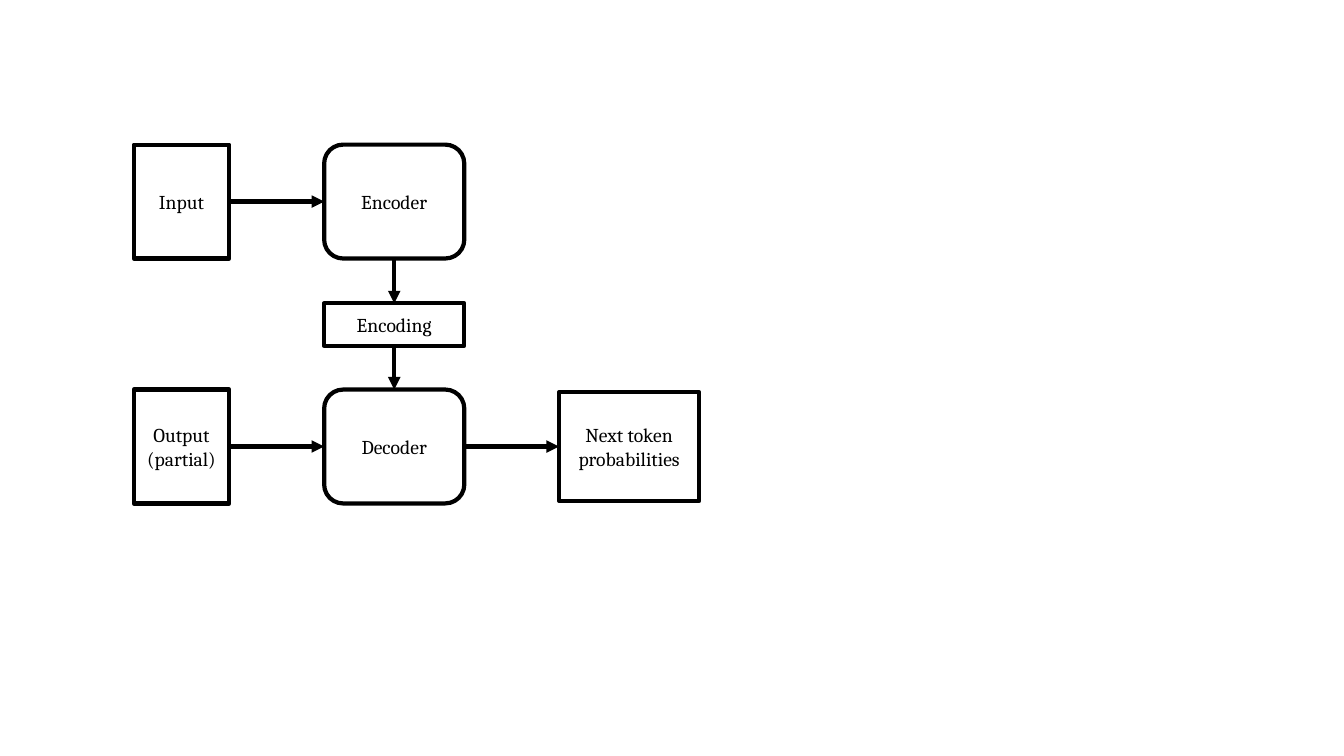
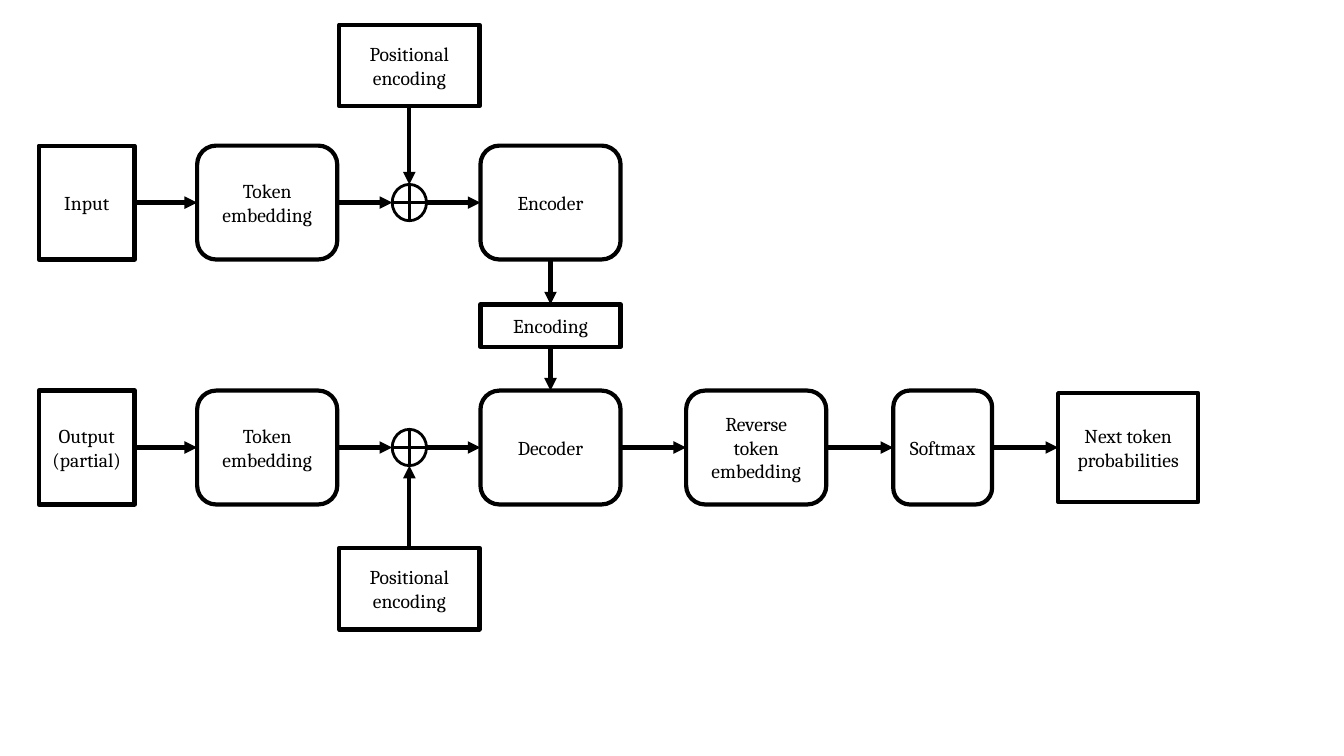
import pptx
import pptx.util
import pptx.dml.color
import pptx.enum.shapes
import pptx.enum.text
import pptx.oxml.ns
from lxml import etree

SHAPES = pptx.enum.shapes.MSO_SHAPE
INK, FONT, TEXT_SIZE = "000000", "Cambria", 14

# Kinds of box: preset shape, width, height, outline width
KINDS = {
    "sequence": (SHAPES.RECTANGLE, 0.95, 1.13, 3),
    "module": (SHAPES.ROUNDED_RECTANGLE, 1.39, 1.13, 3),
    "narrow module": (SHAPES.ROUNDED_RECTANGLE, 0.98, 1.13, 3),
    "encoding": (SHAPES.RECTANGLE, 1.39, 0.42, 3),
    "position": (SHAPES.RECTANGLE, 1.39, 0.81, 3),
    "result": (SHAPES.RECTANGLE, 1.39, 1.08, 3),
    "sum": (SHAPES.FLOWCHART_OR, 0.34, 0.36, 2),
}

# Each diagram: column and row centres, boxes (kind, column, row, text), chains of arrows
OVERVIEW = {
    "columns": (1.8, 3.91, 6.24),
    "rows": (2.0, 3.22, 4.43),
    "boxes": {
        "input": ("sequence", 0, 0, "Input"),
        "encoder": ("module", 1, 0, "Encoder"),
        "encoding": ("encoding", 1, 1, "Encoding"),
        "output": ("sequence", 0, 2, "Output\n(partial)"),
        "decoder": ("module", 1, 2, "Decoder"),
        "next": ("result", 2, 2, "Next token\nprobabilities"),
    },
    "chains": [
        ("input", "encoder", "encoding", "decoder"),
        ("output", "decoder", "next"),
    ],
}
DETAIL = {
    "columns": (0.86, 2.65, 4.06, 5.46, 7.5, 9.35, 11.19),
    "rows": (0.65, 2.01, 3.23, 4.44, 5.84),
    "boxes": {
        "input position": ("position", 2, 0, "Positional\nencoding"),
        "input": ("sequence", 0, 1, "Input"),
        "input embedding": ("module", 1, 1, "Token\nembedding"),
        "input sum": ("sum", 2, 1, ""),
        "encoder": ("module", 3, 1, "Encoder"),
        "encoding": ("encoding", 3, 2, "Encoding"),
        "output": ("sequence", 0, 3, "Output\n(partial)"),
        "output embedding": ("module", 1, 3, "Token\nembedding"),
        "output sum": ("sum", 2, 3, ""),
        "decoder": ("module", 3, 3, "Decoder"),
        "reverse": ("module", 4, 3, "Reverse\ntoken\nembedding"),
        "softmax": ("narrow module", 5, 3, "Softmax"),
        "next": ("result", 6, 3, "Next token\nprobabilities"),
        "output position": ("position", 2, 4, "Positional\nencoding"),
    },
    "chains": [
        ("input", "input embedding", "input sum", "encoder", "encoding", "decoder"),
        ("output", "output embedding", "output sum", "decoder", "reverse", "softmax", "next"),
        ("input position", "input sum"),
        ("output position", "output sum"),
    ],
}

TOP, LEFT, BOTTOM, RIGHT = range(4)  # connection sites of a box


def color(hex_text):
    return pptx.dml.color.RGBColor.from_string(hex_text)


def set_line(line, width):
    line.color.rgb = color(INK)
    line.width = pptx.util.Pt(width)


def add_box(slide, kind, center_x, center_y, text):
    preset, width, height, line_width = KINDS[kind]
    shape = slide.shapes.add_shape(preset, *map(pptx.util.Inches, (
        center_x - width / 2, center_y - height / 2, width, height)))
    shape.shadow.inherit = False
    shape.fill.background()
    set_line(shape.line, line_width)
    if text:
        frame = shape.text_frame
        frame.word_wrap = False
        frame.vertical_anchor = pptx.enum.text.MSO_ANCHOR.MIDDLE
        frame.margin_left = frame.margin_right = frame.margin_top = frame.margin_bottom = 0
        frame.text = text
        for paragraph in frame.paragraphs:
            paragraph.alignment = pptx.enum.text.PP_ALIGN.CENTER
            paragraph.font.name = FONT
            paragraph.font.size = pptx.util.Pt(TEXT_SIZE)
            paragraph.font.color.rgb = color(INK)
    return shape


def site_point(shape, site):
    across = {LEFT: 0, RIGHT: 1}.get(site, 0.5)
    down = {TOP: 0, BOTTOM: 1}.get(site, 0.5)
    return int(shape.left + across * shape.width), int(shape.top + down * shape.height)


def add_arrow(slide, start, end, same_row):
    if same_row:
        start_site, end_site = RIGHT, LEFT
    elif start.top < end.top:
        start_site, end_site = BOTTOM, TOP
    else:
        start_site, end_site = TOP, BOTTOM
    connector = slide.shapes.add_connector(
        pptx.enum.shapes.MSO_CONNECTOR.STRAIGHT,
        *site_point(start, start_site), *site_point(end, end_site))
    # Sum circles number their sites differently, so only boxes are glued
    if start.auto_shape_type != SHAPES.FLOWCHART_OR:
        connector.begin_connect(start, start_site)
    if end.auto_shape_type != SHAPES.FLOWCHART_OR:
        connector.end_connect(end, end_site)
    set_line(connector.line, 3)
    line_element = connector.line._get_or_add_ln()
    etree.SubElement(line_element, pptx.oxml.ns.qn("a:tailEnd"), type="triangle")
    etree.SubElement(connector._element.spPr, pptx.oxml.ns.qn("a:effectLst"))


def add_diagram(presentation, diagram):
    slide = presentation.slides.add_slide(presentation.slide_layouts[6])
    boxes = diagram["boxes"]
    shapes = {
        name: add_box(slide, kind, diagram["columns"][column], diagram["rows"][row], text)
        for name, (kind, column, row, text) in boxes.items()
    }
    for chain in diagram["chains"]:
        for start, end in zip(chain, chain[1:]):
            add_arrow(slide, shapes[start], shapes[end], boxes[start][2] == boxes[end][2])


presentation = pptx.Presentation()
presentation.slide_width = pptx.util.Inches(13.33)
presentation.slide_height = pptx.util.Inches(7.5)
for diagram in (OVERVIEW, DETAIL):
    add_diagram(presentation, diagram)
presentation.save("out.pptx")
